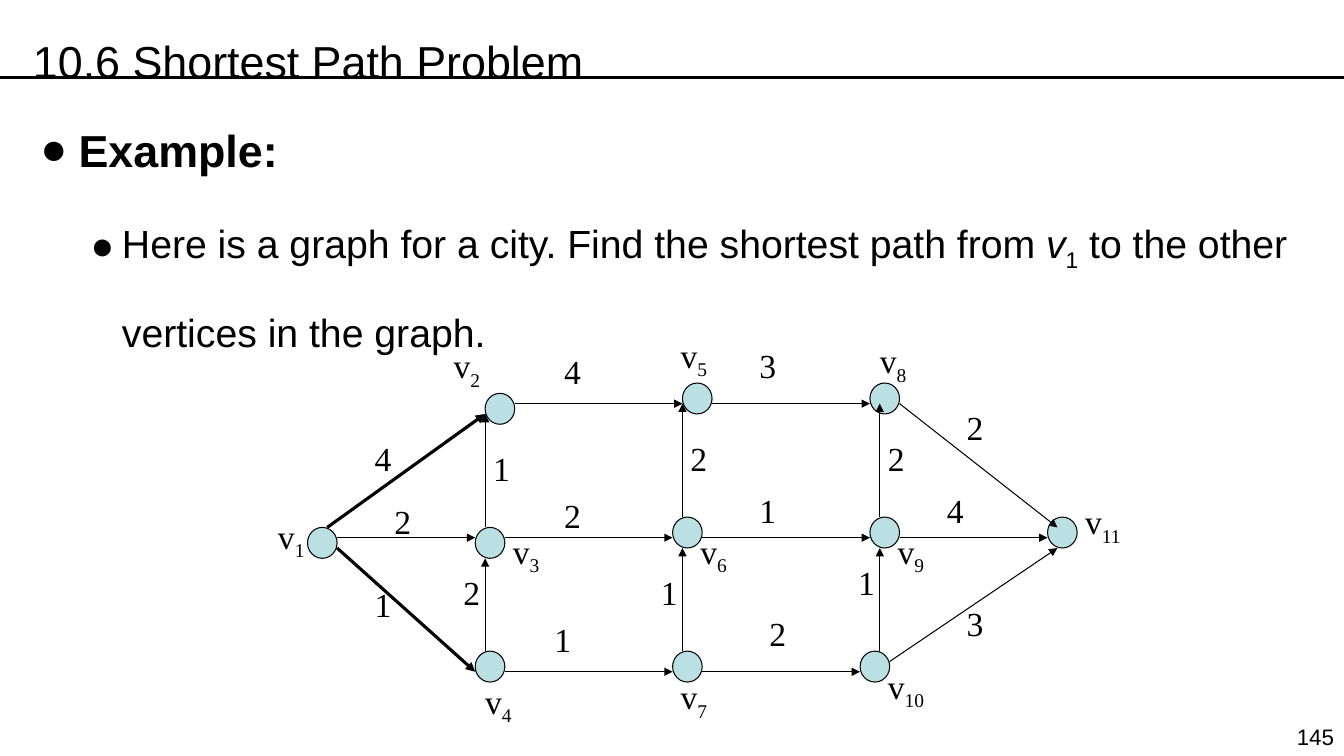
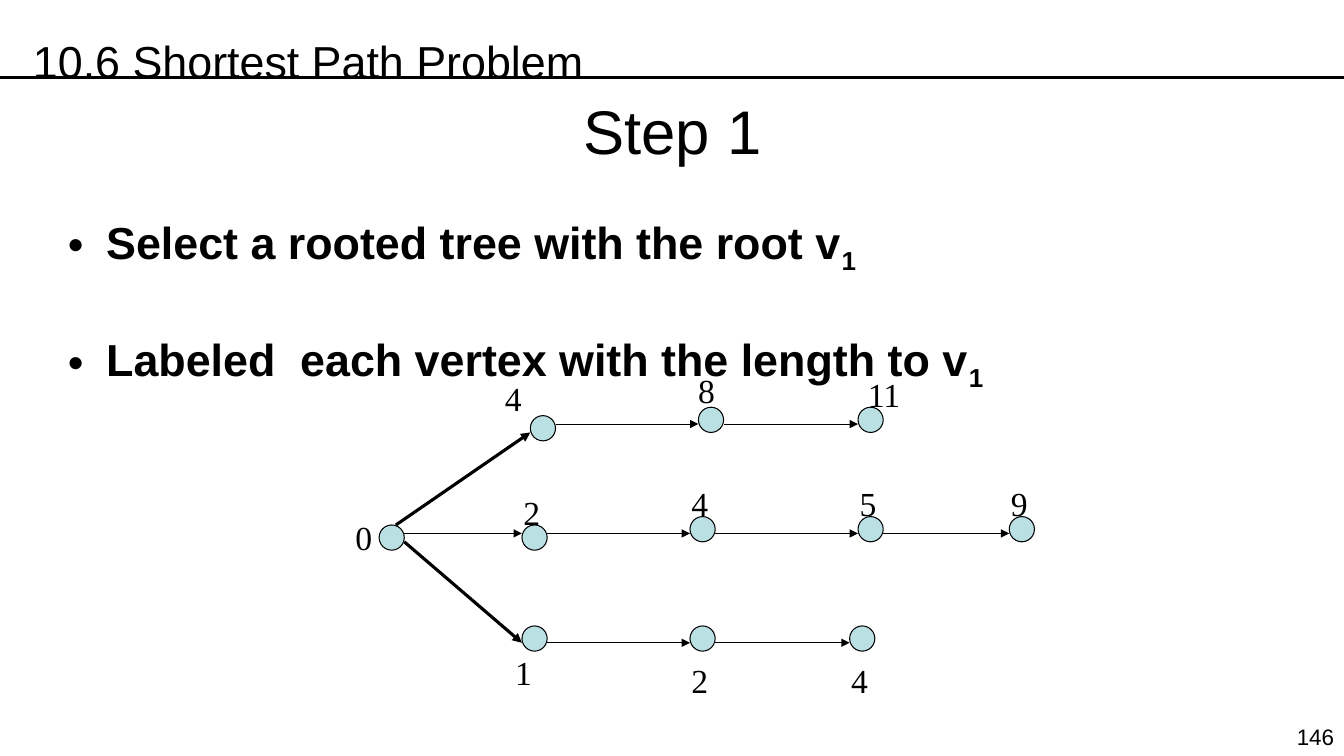
"""Build two slides on the shortest path problem."""
from dataclasses import dataclass

from lxml.etree import SubElement
from pptx import Presentation
from pptx.dml.color import RGBColor
from pptx.enum.shapes import MSO_CONNECTOR as Connector, MSO_SHAPE as Shape
from pptx.enum.text import MSO_ANCHOR as Anchor, MSO_AUTO_SIZE as AutoSize, PP_ALIGN as Align
from pptx.oxml.ns import qn
from pptx.util import Inches, Pt


@dataclass(frozen=True)
class Theme:
    """Colours, fonts, type sizes and line widths."""
    ink: RGBColor = RGBColor(0x00, 0x00, 0x00)
    node: RGBColor = RGBColor(0xBB, 0xE0, 0xE3)
    sans: str = "Arial"
    serif: str = "Times New Roman"
    step: int = 44
    head: int = 32
    body: int = 28
    label: int = 24
    number: int = 16
    thin: float = 0.75
    thick: float = 2.25


@dataclass(frozen=True)
class Grid:
    """A grid with its origin and cell size in inches."""
    left: float
    top: float
    column: float
    row: float

    def point(self, x, y):
        """Return the slide position of a grid point."""
        return Inches(self.left + x * self.column), Inches(self.top + y * self.row)

    def box(self, x, y, width, height):
        """Return left, top, width and height of a grid area."""
        return *self.point(x, y), Inches(width * self.column), Inches(height * self.row)


@dataclass(frozen=True)
class Edge:
    """A weighted edge with its line and label position in grid units."""
    weight: int
    line: tuple
    label: tuple
    bold: bool = False


WIDTH, HEIGHT = 13.33, 7.5
PAGE = Grid(0, 0, WIDTH / 100, HEIGHT / 100)
CITY = Grid(3.05, 3.8, 7.34 / 75, 2.66 / 26)
TREE = Grid(3.76, 4.04, 6.25 / 75, 2.17 / 26)
NODE_SPAN = 3

NODES = {
    "v1": (0, 14), "v2": (18, 1), "v3": (17, 14), "v4": (17, 26),
    "v5": (38, 0), "v6": (37, 13), "v7": (37, 26), "v8": (57, 0),
    "v9": (57, 13), "v10": (56, 26), "v11": (75, 13),
}
EDGES = {
    ("v1", "v2"): Edge(4, (2, 14, 18, 3), (5.8, 4.5), True),
    ("v1", "v3"): Edge(2, (3, 15, 17, 15), (7.8, 10.6)),
    ("v1", "v4"): Edge(1, (3, 16, 17, 28), (5.8, 18.6), True),
    ("v2", "v5"): Edge(4, (21, 2, 38, 2), (25, -4)),
    ("v5", "v8"): Edge(3, (41, 2, 57, 2), (44.8, -4.5)),
    ("v3", "v6"): Edge(2, (20, 15, 37, 15), (25, 10)),
    ("v6", "v9"): Edge(1, (40, 15, 57, 15), (44.8, 9.5)),
    ("v9", "v11"): Edge(4, (60, 15, 75, 15), (63.8, 9.5)),
    ("v4", "v7"): Edge(1, (20, 28, 37, 28), (24, 22)),
    ("v7", "v10"): Edge(2, (40, 28, 56, 28), (45.8, 21.5)),
    ("v8", "v11"): Edge(2, (60, 2, 76, 14), (65.8, 1.5)),
    ("v10", "v11"): Edge(3, (59, 27, 76, 16), (65.8, 20.5)),
    ("v4", "v3"): Edge(2, (18, 26, 18, 17), (14.8, 17.5)),
    ("v3", "v2"): Edge(1, (18, 14, 18, 3), (17.8, 5.5)),
    ("v7", "v6"): Edge(1, (38, 26, 38, 16), (34.8, 17.5)),
    ("v6", "v5"): Edge(2, (38, 13, 38, 2), (37.8, 4.5)),
    ("v10", "v9"): Edge(1, (58, 26, 58, 16), (54.8, 16.5)),
    ("v9", "v8"): Edge(2, (58, 13, 58, 2), (57.8, 4.5)),
}
TREE_EDGES = dict(list(EDGES.items())[:10])
NAME_SPOTS = {
    "v1": (-4, 12), "v2": (13.8, -4.5), "v3": (19.8, 13.5), "v4": (17, 28),
    "v5": (36.8, -5.5), "v6": (38.8, 13.5), "v7": (36.8, 27.6), "v8": (57, -5),
    "v9": (58.8, 13.5), "v10": (57.8, 26.6), "v11": (77.8, 10.6),
}
LENGTH_SPOTS = NAME_SPOTS | {
    "v3": (16, 9), "v4": (15, 28), "v6": (36, 8), "v7": (36, 29),
    "v9": (56, 8), "v10": (55, 29), "v11": (74, 8),
}


@dataclass(frozen=True)
class Item:
    """A bulleted paragraph with its runs and layout."""
    runs: list
    size: int
    bullet: str
    margin: float
    hanging: float
    spacing: float
    before: float = 0
    bold: bool = False
    level: int = 0


class Deck:
    """Holds the theme and the current slide and draws elements on it."""

    def __init__(self, theme):
        """Start an empty presentation."""
        self.theme = theme
        self.presentation = Presentation()
        self.presentation.slide_width = Inches(WIDTH)
        self.presentation.slide_height = Inches(HEIGHT)
        self.slide = None

    def start(self, title, number):
        """Add a slide with its rule, title and number."""
        theme = self.theme
        layout = self.presentation.slide_layouts[1]
        self.slide = self.presentation.slides.add_slide(layout)
        self.line(PAGE, (0, 10.27, 100, 10.27), theme.thick)
        heading = self.slide.shapes.title
        self.place(heading, PAGE.box(1.7, 0.2, 90.7, 10.8))
        paragraph = self.frame(heading).paragraphs[0]
        paragraph.alignment, paragraph.line_spacing = Align.LEFT, 1.5
        self.add_runs(paragraph, [(title, "")], theme.head)
        self.text(PAGE.box(95.3, 94.7, 4.7, 4.9), [(number, "")],
                  theme.number, theme.sans, Align.RIGHT)

    def place(self, shape, box):
        """Move and size a shape."""
        shape.left, shape.top, shape.width, shape.height = box

    def frame(self, shape, size=0):
        """Prepare a text frame whose top inset grows with the type size."""
        frame = shape.text_frame
        frame.auto_size, frame.word_wrap = AutoSize.NONE, True
        frame.vertical_anchor = Anchor.TOP
        frame.margin_top = Inches(0.05 + 0.0015 * size)
        return frame

    def add_runs(self, paragraph, runs, size, font=None, bold=False):
        """Add runs, each with a style of i for italic or s for subscript."""
        for text, style in runs:
            run = paragraph.add_run()
            run.text = text
            run.font.name = font or self.theme.sans
            run.font.size = Pt(size)
            run.font.bold = bold
            run.font.color.rgb = self.theme.ink
            if style == "i":
                run.font.italic = True
            if style == "s":
                run._r.get_or_add_rPr().set("baseline", "-25000")

    def text(self, box, runs, size, font, align=Align.LEFT):
        """Add a one-paragraph text box."""
        shape = self.slide.shapes.add_textbox(*box)
        paragraph = self.frame(shape, size).paragraphs[0]
        paragraph.alignment = align
        self.add_runs(paragraph, runs, size, font)

    def bullets(self, box, items, inset_size=0):
        """Fill the body placeholder with bulleted items."""
        body = self.slide.placeholders[1]
        self.place(body, box)
        frame = self.frame(body, inset_size)
        for index, item in enumerate(items):
            paragraph = frame.add_paragraph() if index else frame.paragraphs[0]
            paragraph.level = item.level
            paragraph.line_spacing = item.spacing
            paragraph.space_before = Pt(item.before if index else 0)
            properties = paragraph._p.get_or_add_pPr()
            properties.set("marL", str(Inches(item.margin)))
            properties.set("indent", str(Inches(-item.hanging)))
            SubElement(properties, qn("a:buFont"), typeface=self.theme.sans)
            SubElement(properties, qn("a:buChar"), char=item.bullet)
            self.add_runs(paragraph, item.runs, item.size, bold=item.bold)

    def line(self, grid, ends, width, arrow=False):
        """Draw a straight line, with an arrowhead at its end if asked."""
        start, end = grid.point(*ends[:2]), grid.point(*ends[2:])
        connector = self.slide.shapes.add_connector(Connector.STRAIGHT, *start, *end)
        connector.line.color.rgb = self.theme.ink
        connector.line.width = Pt(width)
        properties = connector._element.spPr
        if arrow:
            SubElement(properties.find(qn("a:ln")), qn("a:tailEnd"), type="triangle")
        SubElement(properties, qn("a:effectLst"))

    def node(self, grid, spot):
        """Draw a vertex."""
        shape = self.slide.shapes.add_shape(
            Shape.OVAL, *grid.box(*spot, NODE_SPAN, NODE_SPAN))
        shape.shadow.inherit = False
        shape.fill.solid()
        shape.fill.fore_color.rgb = self.theme.node
        shape.line.color.rgb = self.theme.ink
        shape.line.width = Pt(self.theme.thin)

    def label(self, grid, spot, runs):
        """Put a graph label at a grid point."""
        box = (*grid.point(*spot), Inches(0.75), Inches(0.5))
        self.text(box, runs, self.theme.label, self.theme.serif)

    def graph(self, grid, edges):
        """Draw all vertices and the given edges."""
        for spot in NODES.values():
            self.node(grid, spot)
        for edge in edges.values():
            width = self.theme.thick if edge.bold else self.theme.thin
            self.line(grid, edge.line, width, arrow=True)


def tree_lengths():
    """Return the length from the root to each vertex along the tree."""
    lengths = {"v1": 0}
    for (start, end), edge in TREE_EDGES.items():
        lengths[end] = lengths[start] + edge.weight
    return lengths


def example_slide(deck, title):
    """Build the slide that states the example."""
    theme = deck.theme
    deck.start(title, "145")
    task = [("Here is a graph for a city. Find the shortest path from ", ""),
            ("v", "i"), ("1", "s"), (" to the other vertices in the graph.", "")]
    deck.bullets(PAGE.box(2.25, 14.9, 97, 66), [
        Item([("Example:", "")], theme.head, "●", 0.38, 0.38, 1, bold=True),
        Item(task, theme.body, "●", 0.81, 0.31, 1.75, before=2, level=1),
    ], theme.head)
    deck.graph(CITY, EDGES)
    for edge in EDGES.values():
        deck.label(CITY, edge.label, [(str(edge.weight), "")])
    for name, spot in NAME_SPOTS.items():
        deck.label(CITY, spot, [(name[0], ""), (name[1:], "s")])


def step_slide(deck, title):
    """Build the slide that shows the rooted tree."""
    theme = deck.theme
    deck.start(title, "146")
    deck.text(PAGE.box(16.3, 10.8, 67.5, 16.7), [("Step 1", "")],
              theme.step, theme.sans, Align.CENTER)
    lines = ("Select a rooted tree with the root v",
             "Labeled  each vertex with the length to v")
    deck.bullets(PAGE.box(4.3, 21.6, 95, 66), [
        Item([(line, ""), ("1", "s")], theme.head, "•", 0.38, 0.38, 1.75,
             before=7.5, bold=True)
        for line in lines
    ])
    deck.graph(TREE, TREE_EDGES)
    for name, length in tree_lengths().items():
        deck.label(TREE, LENGTH_SPOTS[name], [(str(length), "")])


def main():
    """Build and save the presentation."""
    deck = Deck(Theme())
    title = "10.6 Shortest Path Problem"
    example_slide(deck, title)
    step_slide(deck, title)
    deck.presentation.save("out.pptx")


if __name__ == "__main__":
    main()
